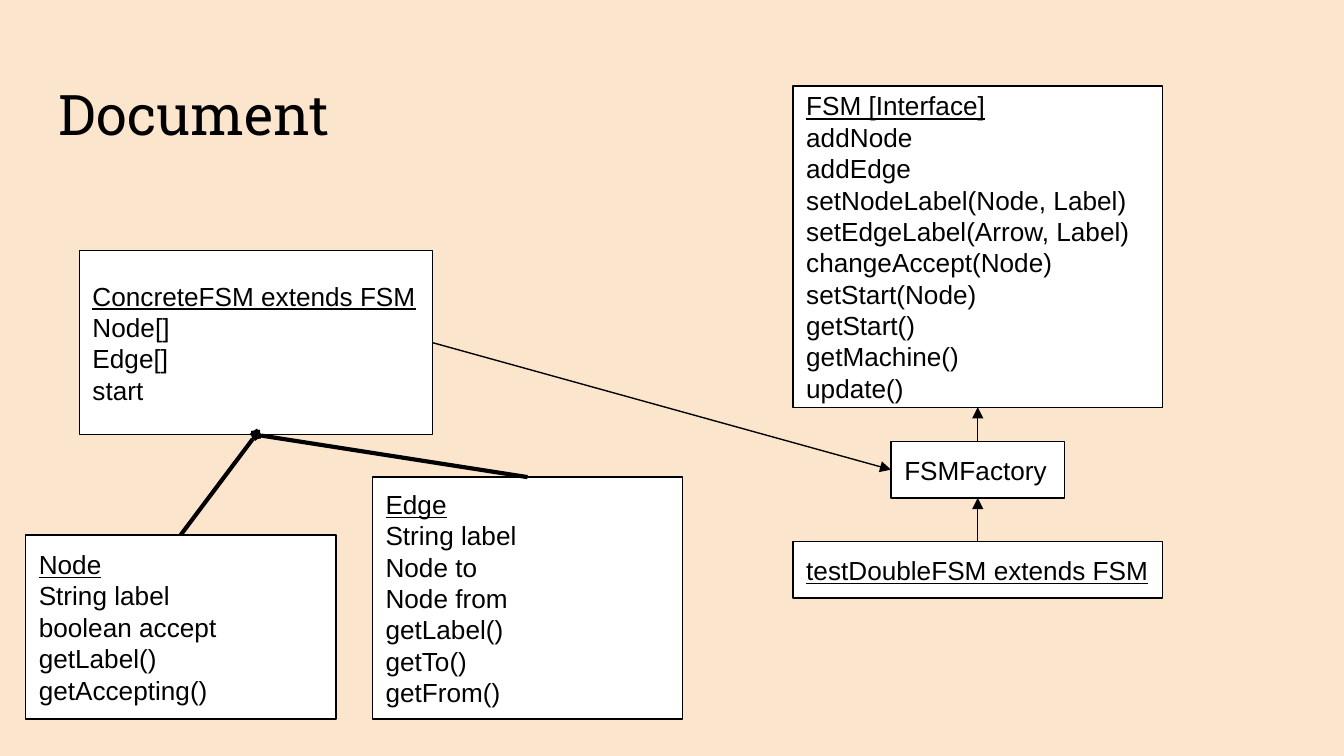
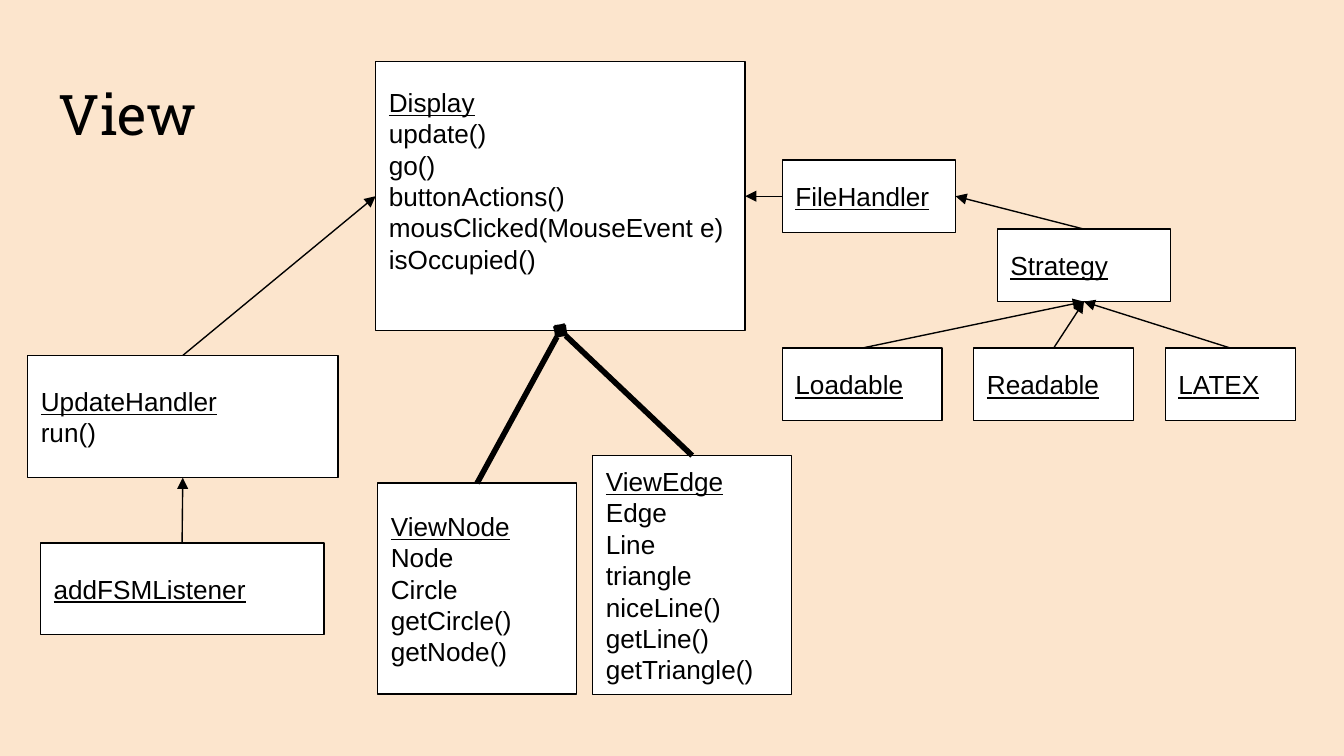
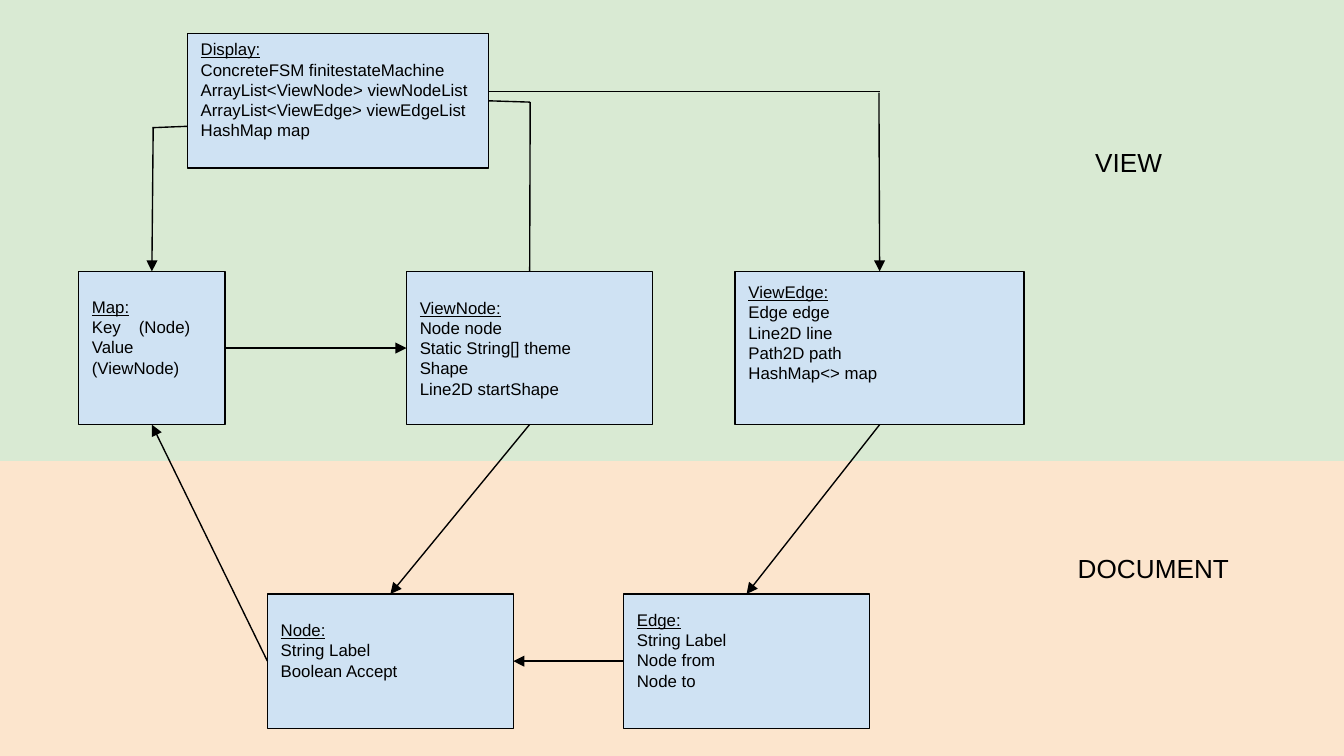
from pptx import Presentation, util as u
from pptx.dml.color import RGBColor
from pptx.enum import shapes, text
from pptx.oxml.ns import qn
from lxml import etree

COLS, ROWS = 100, 56.25
TOP, LEFT, BASE, RIGHT = range(4)
INK, PAPER, PEACH, MINT, SKY = "000000", "FFFFFF", "FCE5CD", "D9EAD3", "CFE2F3"


def hue(code):
    return RGBColor.from_string(code)


class Deck:
    sans, slab = "Arial", "Roboto Slab"
    pad = 1

    def __init__(self):
        self.show = Presentation()
        self.show.slide_width, self.show.slide_height = u.Pt(720), u.Pt(405)
        self.cell = self.show.slide_width / COLS

    def page(self):
        blank = self.show.slide_layouts[6]
        self.items = self.show.slides.add_slide(blank).shapes

    def grid(self, *spans):
        return [u.Emu(round(span * self.cell)) for span in spans]

    def rect(self, x, y, w, h, fill):
        form = self.items.add_shape(shapes.MSO_SHAPE.RECTANGLE, *self.grid(x, y, w, h))
        form.shadow.inherit = False
        form.fill.solid()
        form.fill.fore_color.rgb = hue(fill)
        return form

    def band(self, y, h, fill):
        self.rect(0, y, COLS, h, fill).line.fill.background()

    def label(self, form, lines, size, font, anchor, under=False, rest=0):
        frame = form.text_frame
        frame.word_wrap = True
        frame.vertical_anchor = anchor
        sides = self.grid(self.pad, self.pad, self.pad, self.pad + rest)
        frame.margin_left, frame.margin_top, frame.margin_right, frame.margin_bottom = sides
        for row, line in enumerate(lines):
            para = frame.add_paragraph() if row else frame.paragraphs[0]
            para.alignment = text.PP_ALIGN.LEFT
            if "\t" in line:
                self.tab(para, 3.5)
            run = para.add_run()
            run.text = line
            run.font.size, run.font.name = u.Pt(size), font
            run.font.color.rgb = hue(INK)
            run.font.underline = under and row == 0

    def tab(self, para, stop):
        tabs = etree.SubElement(para._p.get_or_add_pPr(), qn("a:tabLst"))
        etree.SubElement(tabs, qn("a:tab"), pos=str(self.grid(stop)[0]), algn="l")

    def card(self, x, y, w, h, *lines, fill=PAPER, size=14, under=True, rest=0):
        form = self.rect(x, y, w, h, fill)
        form.line.color.rgb = hue(INK)
        form.line.width = u.Pt(0.75)
        self.label(form, lines, size, self.sans, text.MSO_ANCHOR.MIDDLE, under, rest)
        return form

    def note(self, x, y, w, h, words, size=14, font=sans):
        form = self.items.add_textbox(*self.grid(x, y, w, h))
        self.label(form, [words], size, font, text.MSO_ANCHOR.TOP)

    def title(self, words, w):
        self.note(3.4, 4.9, w, 6.3, words, 30, self.slab)

    def line(self, x, y, to_x, to_y, head="triangle", width=0.75):
        ends = self.grid(x, y, to_x, to_y)
        wire = self.items.add_connector(shapes.MSO_CONNECTOR.STRAIGHT, *ends)
        wire.line.color.rgb = hue(INK)
        wire.line.width = u.Pt(width)
        props = wire._element.spPr
        if head:
            etree.SubElement(props.get_or_add_ln(), qn("a:tailEnd"), type=head)
        etree.SubElement(props, qn("a:effectLst"))
        return wire

    def link(self, start, out, end, into, head="triangle", width=0.75):
        wire = self.line(0, 0, 0, 0, head, width)
        wire.begin_connect(start, out)
        wire.end_connect(end, into)


def model(deck):
    deck.page()
    deck.band(0, ROWS, PEACH)
    face = deck.card(59, 6.4, 27.5, 23.9, "FSM [Interface]", "addNode", "addEdge",
                     "setNodeLabel(Node, Label)", "setEdgeLabel(Arrow, Label)",
                     "changeAccept(Node)", "setStart(Node)", "getStart()",
                     "getMachine()", "update()")
    core = deck.card(5.9, 18.65, 26.3, 13.7, "ConcreteFSM extends FSM",
                     "Node[]", "Edge[]", "start")
    double = deck.card(59, 40.3, 27.5, 4.2, "testDoubleFSM extends FSM")
    maker = deck.card(66.3, 32.85, 12.9, 4.2, "FSMFactory", under=False)
    node = deck.card(1.9, 39.8, 23.1, 13.7, "Node", "String label", "boolean accept",
                     "getLabel()", "getAccepting()")
    edge = deck.card(27.7, 35.5, 23.1, 18, "Edge", "String label", "Node to",
                     "Node from", "getLabel()", "getTo()", "getFrom()")
    deck.link(core, RIGHT, maker, LEFT)
    deck.link(double, TOP, maker, BASE)
    deck.link(maker, TOP, face, BASE)
    for part in (node, edge):
        deck.link(part, TOP, core, BASE, "diamond", 2.25)
    deck.title("Document", 36.8)


def view(deck):
    deck.page()
    deck.band(0, ROWS, PEACH)
    board = deck.card(27.95, 4.6, 27.5, 20, "Display", "update()", "go()",
                      "buttonActions()", "mousClicked(MouseEvent e)", "isOccupied()",
                      rest=2.33)
    node = deck.card(28.1, 35.95, 14.8, 15.7, "ViewNode", "Node", "Circle",
                     "getCircle()", "getNode()")
    edge = deck.card(44.1, 33.9, 14.8, 17.8, "ViewEdge", "Edge", "Line", "triangle",
                     "niceLine()", "getLine()", "getTriangle()")
    for part in (node, edge):
        deck.link(part, TOP, board, BASE, "diamond", 3)
    files = deck.card(58.2, 11.9, 12.9, 5.4, "FileHandler")
    listen = deck.card(3, 40.4, 21.1, 6.8, "addFSMListener")
    update = deck.card(2.05, 26.45, 23.1, 9.1, "UpdateHandler", "run()")
    plan = deck.card(74.2, 17.05, 12.9, 5.4, "Strategy")
    for x, w, name in ((58.2, 11.9, "Loadable"), (72.45, 11.9, "Readable"),
                       (86.7, 9.7, "LATEX")):
        kind = deck.card(x, 25.9, w, 5.4, name)
        deck.link(kind, TOP, plan, BASE)
    deck.link(plan, TOP, files, RIGHT)
    deck.link(files, LEFT, board, RIGHT)
    deck.link(listen, TOP, update, BASE)
    deck.link(update, TOP, board, LEFT)
    deck.title("View", 15.8)


def whole(deck):
    deck.page()
    split = 34.3
    deck.band(split, ROWS - split, PEACH)
    deck.band(0, split, MINT)
    look = dict(fill=SKY, size=9)
    deck.card(13.95, 2.5, 22.4, 10, "Display:", "ConcreteFSM finitestateMachine",
              "ArrayList<ViewNode> viewNodeList", "ArrayList<ViewEdge> viewEdgeList",
              "HashMap map", rest=1.65, **look)
    deck.line(39.45, 7.6, 39.4, 23.8)
    y, h = 20.2, 11.4
    vnode = deck.card(30.25, y, 18.3, h, "ViewNode:", "Node node",
                      "Static String[] theme", "Shape", "Line2D startShape", **look)
    vedge = deck.card(54.7, y, 21.5, h, "ViewEdge:", "Edge edge", "Line2D line",
                      "Path2D path", "HashMap<> map", rest=2.33, **look)
    table = deck.card(5.85, y, 10.9, h, "Map:", "Key\t(Node)", "Value (ViewNode)",
                      rest=1.65, **look)
    node = deck.card(19.9, 44.2, 18.3, 10, "Node:", "String Label", "Boolean Accept",
                     rest=1.65, **look)
    edge = deck.card(46.4, 44.2, 18.3, 10, "Edge:", "String Label", "Node from",
                     "Node to", rest=1.65, **look)
    for ends in ((39.45, 7.6, 36.35, 7.5), (36.4, 6.8, 65.45, 6.8),
                 (13.95, 9.4, 11.35, 9.5)):
        deck.line(*ends, head=None)
    deck.line(65.4, 6.9, 65.45, y)
    deck.line(11.4, 9.5, 11.3, y)
    deck.link(table, RIGHT, vnode, LEFT)
    deck.link(vnode, BASE, node, TOP)
    deck.link(vedge, BASE, edge, TOP)
    deck.link(edge, LEFT, node, RIGHT)
    deck.link(node, LEFT, table, BASE)
    deck.note(80.5, 9.9, 10.9, 2.7, "VIEW")
    deck.note(79.2, 40.1, 13.5, 2.7, "DOCUMENT")


def main():
    deck = Deck()
    for build in (model, view, whole):
        build(deck)
    deck.show.save("out.pptx")


if __name__ == "__main__":
    main()
